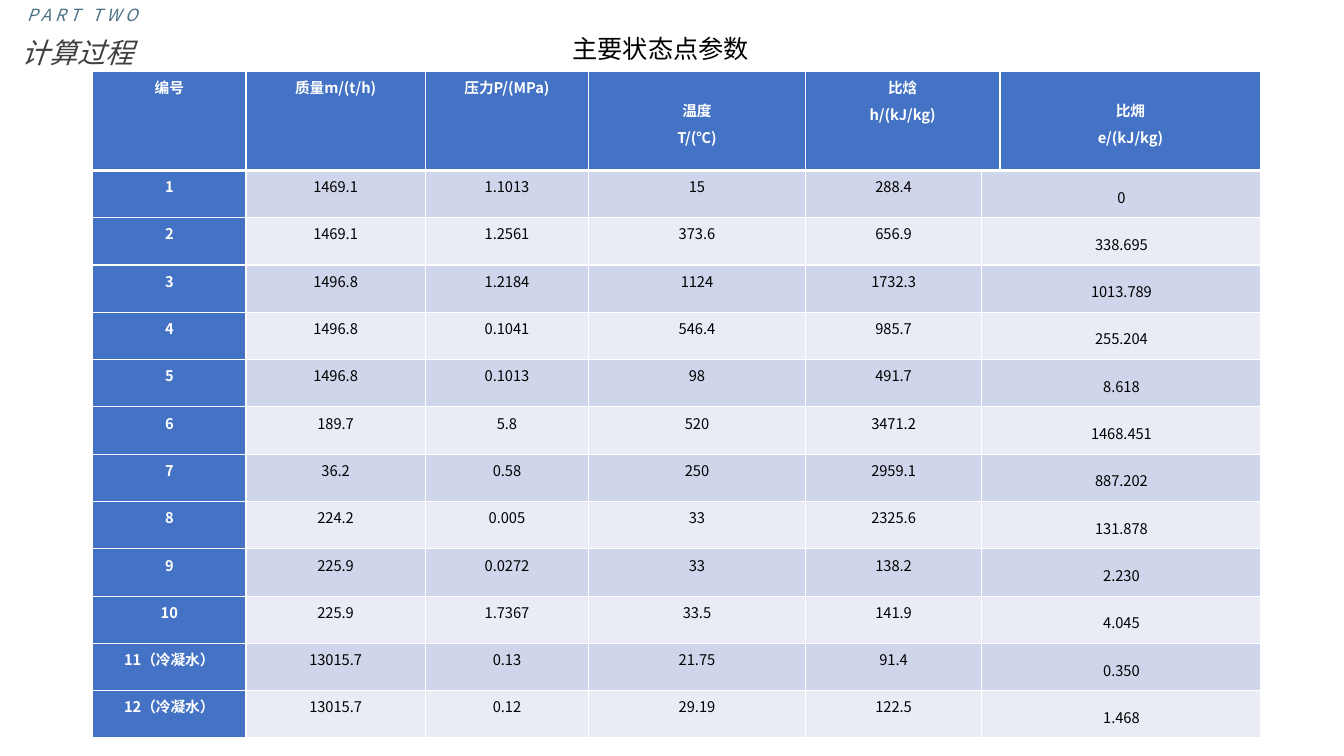
from lxml import etree
from pptx import Presentation, util as u
from pptx.dml.color import RGBColor
from pptx.enum import text
from pptx.oxml import ns

WHITE = RGBColor(0xFF, 0xFF, 0xFF)
BLACK = RGBColor(0x00, 0x00, 0x00)
CHARCOAL = RGBColor(0x40, 0x40, 0x40)
TEAL = RGBColor(0x4B, 0x70, 0x85)
BLUE = RGBColor(0x44, 0x72, 0xC4)
BANDS = (RGBColor(0xCF, 0xD5, 0xEA), RGBColor(0xE9, 0xEB, 0xF5))
FONT = "Noto Sans CJK SC"

COLUMN_SHARES = (11.4, 13.35, 12.15, 16.13, 13.13, 1.35, 19.43)
HEADER_SHARE, ROW_SHARE = 13.07, 6.26

HEADINGS = ("编号", "质量m/(t/h)", "压力P/(MPa)", "温度\nT/(℃)", "比焓\nh/(kJ/kg)", "比㶲\ne/(kJ/kg)")
STATES = (
    ("1", "1469.1", "1.1013", "15", "288.4", "0"),
    ("2", "1469.1", "1.2561", "373.6", "656.9", "338.695"),
    ("3", "1496.8", "1.2184", "1124", "1732.3", "1013.789"),
    ("4", "1496.8", "0.1041", "546.4", "985.7", "255.204"),
    ("5", "1496.8", "0.1013", "98", "491.7", "8.618"),
    ("6", "189.7", "5.8", "520", "3471.2", "1468.451"),
    ("7", "36.2", "0.58", "250", "2959.1", "887.202"),
    ("8", "224.2", "0.005", "33", "2325.6", "131.878"),
    ("9", "225.9", "0.0272", "33", "138.2", "2.230"),
    ("10", "225.9", "1.7367", "33.5", "141.9", "4.045"),
    ("11（冷凝水）", "13015.7", "0.13", "21.75", "91.4", "0.350"),
    ("12（冷凝水）", "13015.7", "0.12", "29.19", "122.5", "1.468"),
)


class StateSlide:
    """Draws styled text and tables, with lengths in percent of the slide's size."""

    def __init__(self, presentation):
        self.width = presentation.slide_width
        self.height = presentation.slide_height
        self.slide = presentation.slides.add_slide(presentation.slide_layouts[6])

    def across(self, share):
        return u.Emu(round(self.width * share / 100))

    def down(self, share):
        return u.Emu(round(self.height * share / 100))

    def box(self, left, top, width, height):
        return self.across(left), self.down(top), self.across(width), self.down(height)

    def style(self, paragraph, size, color, bold=False, italic=False, spacing=0):
        font = paragraph.font
        font.name, font.size, font.bold, font.italic = FONT, u.Pt(size), bold, italic
        font.color.rgb = color
        properties = paragraph._p.get_or_add_pPr().find(ns.qn("a:defRPr"))
        latin = properties.find(ns.qn("a:latin"))
        latin.addnext(etree.Element(ns.qn("a:ea"), typeface=FONT))
        if spacing:
            properties.set("spc", str(spacing * 100))

    def label(self, words, place, size, color, align=text.PP_ALIGN.CENTER, **looks):
        frame = self.slide.shapes.add_textbox(*self.box(*place)).text_frame
        frame.word_wrap = True
        frame.auto_size = text.MSO_AUTO_SIZE.SHAPE_TO_FIT_TEXT
        paragraph = frame.paragraphs[0]
        paragraph.text = words
        paragraph.alignment = align
        self.style(paragraph, size, color, **looks)

    def borders(self, cell, top, bottom):
        properties = cell._tc.get_or_add_tcPr()
        for side, points in (("L", 1), ("R", 1), ("T", top), ("B", bottom)):
            line = etree.SubElement(properties, ns.qn(f"a:ln{side}"), w=str(u.Pt(points)))
            fill = etree.SubElement(line, ns.qn("a:solidFill"))
            etree.SubElement(fill, ns.qn("a:srgbClr"), val=str(WHITE))

    def paint(self, cell, row, column):
        self.borders(cell, top=3 if row == 1 else 1, bottom=3 if row == 0 else 1)
        cell.fill.solid()
        cell.fill.fore_color.rgb = BLUE if row == 0 or column == 0 else BANDS[(row - 1) % 2]

    def enter(self, cell, words, row, column):
        heading = row == 0 or column == 0
        cell.text = words
        cell.margin_left = cell.margin_right = u.Inches(0.07)
        cell.margin_top = cell.margin_bottom = 0
        if column in ((5,) if row else (3, 6)):
            cell.vertical_anchor = text.MSO_ANCHOR.MIDDLE
        for paragraph in cell.text_frame.paragraphs:
            paragraph.alignment = text.PP_ALIGN.CENTER
            paragraph.line_spacing = 1.25
            self.style(paragraph, 10.5, WHITE if heading else BLACK, bold=heading)

    def table(self, left, top, headings, records):
        height = HEADER_SHARE + ROW_SHARE * len(records)
        place = self.box(left, top, sum(COLUMN_SHARES), height)
        table = self.slide.shapes.add_table(len(records) + 1, len(COLUMN_SHARES), *place).table
        table.first_row = table.horz_banding = False
        for column, share in zip(table.columns, COLUMN_SHARES):
            column.width = self.across(share)
        for row, record in enumerate((headings, *records)):
            table.rows[row].height = self.down(ROW_SHARE if row else HEADER_SHARE)
            for column in range(len(COLUMN_SHARES)):
                self.paint(table.cell(row, column), row, column)
            merged = 5 if row else 4
            table.cell(row, merged).merge(table.cell(row, merged + 1))
            starts = [column for column in range(len(COLUMN_SHARES)) if column != merged + 1]
            for column, words in zip(starts, record):
                self.enter(table.cell(row, column), words, row, column)


def main():
    presentation = Presentation()
    presentation.slide_width, presentation.slide_height = u.Inches(13.33), u.Inches(7.5)
    page = StateSlide(presentation)
    page.table(6.9, 9.47, HEADINGS, STATES)
    page.label("主要状态点参数", (41.86, 3.73, 22.66, 5.33), 18, BLACK, text.PP_ALIGN.LEFT)
    page.label("计算过程", (0, 4, 11.55, 5.87), 20, CHARCOAL, italic=True)
    page.label("PART TWO", (0.45, 0, 11.33, 4), 12, TEAL, italic=True, spacing=3)
    presentation.save("out.pptx")


if __name__ == "__main__":
    main()
